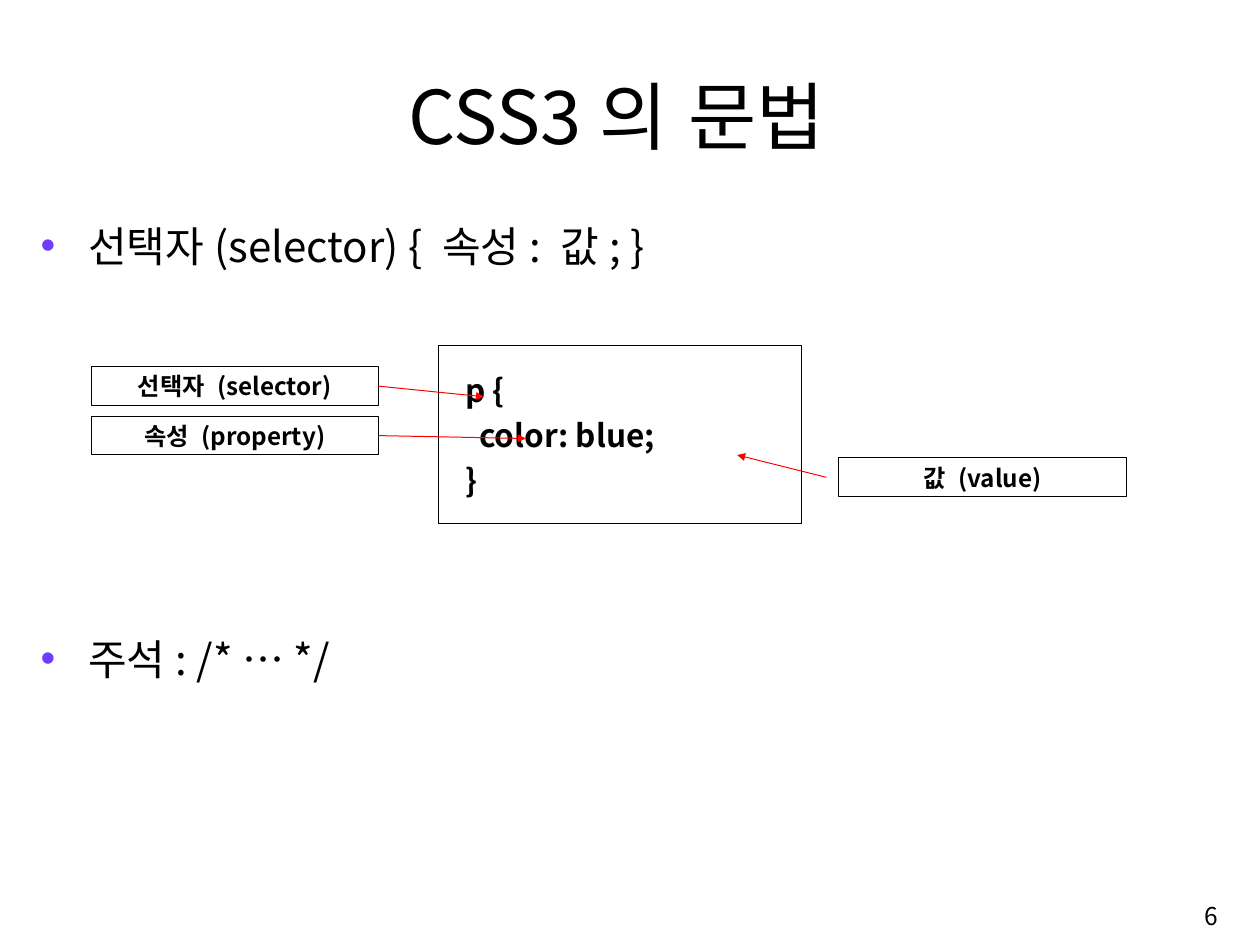
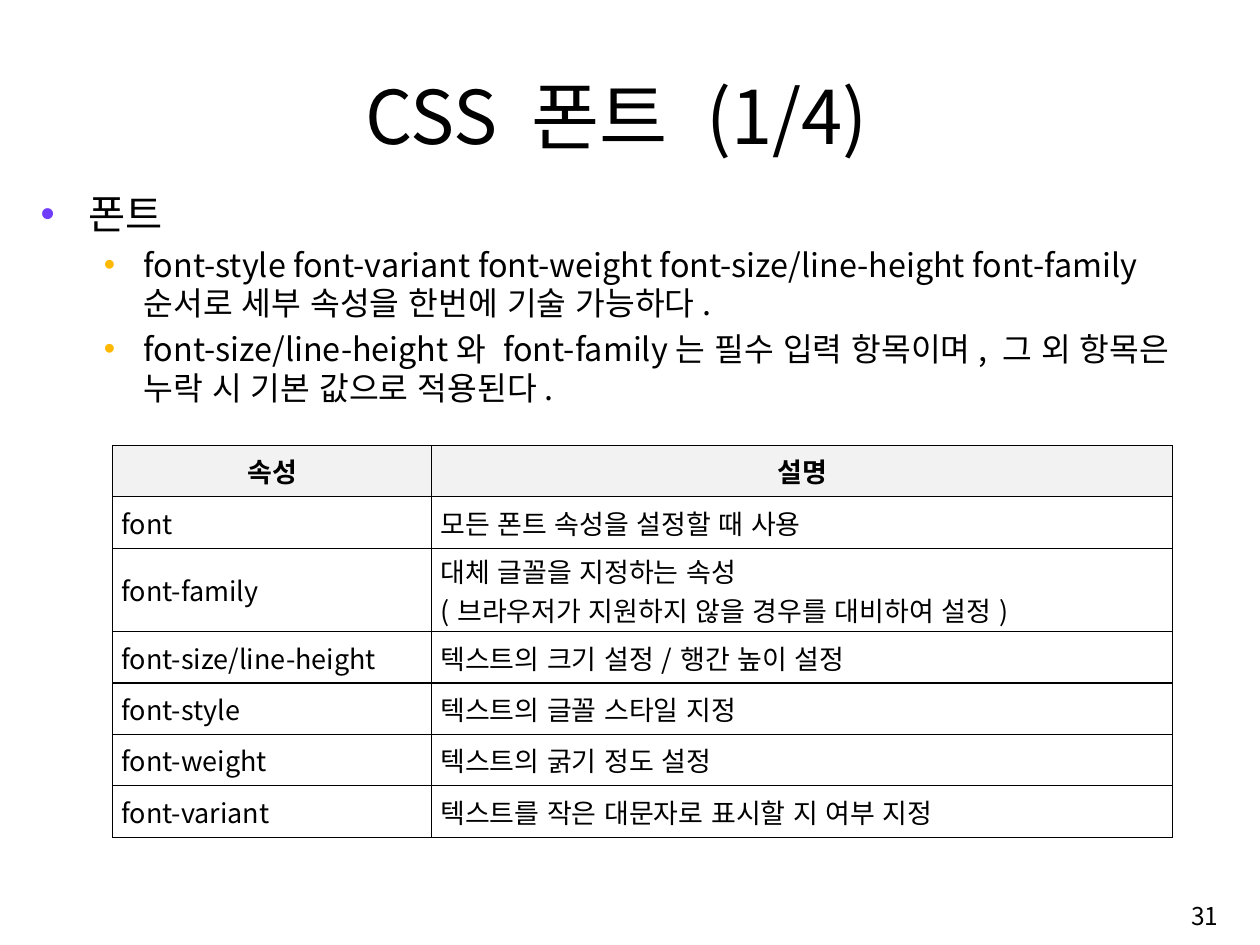
"""Build two slides on CSS3 syntax and CSS font properties."""
from lxml.etree import SubElement
from pptx import Presentation
from pptx.dml.color import RGBColor
from pptx.enum.lang import MSO_LANGUAGE_ID
from pptx.enum.shapes import MSO_CONNECTOR, MSO_SHAPE
from pptx.enum.text import MSO_ANCHOR, MSO_AUTO_SIZE, PP_ALIGN
from pptx.oxml.ns import qn
from pptx.util import Inches, Pt

FONT = "Noto Sans CJK KR"
BLACK, WHITE, RED, HEADER_GREY = "000000", "FFFFFF", "FF0000", "F2F2F2"
LEVELS = [(0.49, -0.49, "703DFF"), (1.06, -0.41, "FFB800")]


def colour(code):
    return RGBColor.from_string(code)


def style(paragraph, size, align=PP_ALIGN.LEFT, bold=False, before=0):
    paragraph.alignment = align
    paragraph.space_before = Pt(before)
    for run in paragraph.runs:
        run.font.size = Pt(size)
        run.font.bold = bold
        run.font.language_id = MSO_LANGUAGE_ID.KOREAN
        run.font.color.rgb = colour(BLACK)
        run.font.name = FONT
        SubElement(run.font._element, qn("a:ea"), typeface=FONT)


deck = Presentation()
deck.slide_width = Inches(12.99)
deck.slide_height = Inches(9.74)

pages = [
    ("CSS3의 문법", "6", 2.22, [
        (0, "선택자(selector) { 속성: 값; }", 31.2, 3),
        (0, "주석: /* … */", 31.2, 269),
    ]),
    ("CSS 폰트 (1/4)", "31", 1.9, [
        (0, "폰트", 30, 3),
        (1, "font-style font-variant font-weight font-size/line-height font-family "
            "순서로 세부 속성을 한번에 기술 가능하다.", 24, 5.2),
        (1, "font-size/line-height와 font-family는 필수 입력 항목이며, "
            "그 외 항목은 누락 시 기본 값으로 적용된다.", 24, 5.2),
    ]),
]

slides = []
for heading, number, body_top, bullets in pages:
    slide = deck.slides.add_slide(deck.slide_layouts[1])
    slides.append(slide)

    title = slide.shapes.title
    title.left, title.top = Inches(1.05), Inches(0.64)
    title.width, title.height = Inches(10.61), Inches(1.08)
    title.text_frame.text = heading
    title.text_frame.auto_size = MSO_AUTO_SIZE.NONE
    title.text_frame.vertical_anchor = MSO_ANCHOR.MIDDLE
    style(title.text_frame.paragraphs[0], 55, PP_ALIGN.CENTER)

    body = slide.placeholders[1]
    body.left, body.top = Inches(0.32), Inches(body_top)
    body.width, body.height = Inches(12.32), Inches(8.96 - body_top)
    body.text_frame.text = "\n".join(text for _, text, _, _ in bullets)
    body.text_frame.auto_size = MSO_AUTO_SIZE.NONE
    for paragraph, (level, _, size, before) in zip(body.text_frame.paragraphs, bullets):
        paragraph.level = level
        style(paragraph, size, before=before)
        margin, indent, bullet_colour = LEVELS[level]
        properties = paragraph._p.get_or_add_pPr()
        properties.set("marL", str(Inches(margin)))
        properties.set("indent", str(Inches(indent)))
        SubElement(SubElement(properties, qn("a:buClr")), qn("a:srgbClr"), val=bullet_colour)
        SubElement(properties, qn("a:buChar"), char="•")

    page_number = slide.shapes.add_textbox(
        Inches(9.98), Inches(9.14), Inches(2.68), Inches(0.6)).text_frame
    page_number.word_wrap = True
    page_number.vertical_anchor = MSO_ANCHOR.MIDDLE
    page_number.text = number
    style(page_number.paragraphs[0], 18.2, PP_ALIGN.RIGHT)

syntax_slide, font_slide = slides

boxes = [
    (4.52, 3.56, 3.74, 1.84, "p {\ncolor: blue;\n}", 23.4, PP_ALIGN.LEFT, 5.2, 0.13),
    (0.94, 3.78, 2.96, 0.4, "선택자 (selector)", 18, PP_ALIGN.CENTER, 0, 0.1),
    (0.94, 4.29, 2.96, 0.4, "속성 (property)", 18, PP_ALIGN.CENTER, 0, 0.1),
    (8.65, 4.72, 2.96, 0.4, "값 (value)", 18, PP_ALIGN.CENTER, 0, 0.1),
]
for left, top, width, height, text, size, align, before, inset in boxes:
    box = syntax_slide.shapes.add_shape(
        MSO_SHAPE.RECTANGLE, Inches(left), Inches(top), Inches(width), Inches(height))
    box.shadow.inherit = False
    box.fill.background()
    box.line.color.rgb = colour(BLACK)
    box.line.width = Pt(0.75)
    frame = box.text_frame
    frame.word_wrap = True
    frame.vertical_anchor = MSO_ANCHOR.MIDDLE
    frame.margin_left = frame.margin_right = Inches(inset)
    frame.text = text
    for paragraph in frame.paragraphs:
        style(paragraph, size, align, True, before)
        if align == PP_ALIGN.LEFT:
            code_indent = 0.29 if paragraph.text.startswith("color") else 0.15
            paragraph._p.get_or_add_pPr().set("marL", str(Inches(code_indent)))

arrows = [(3.9, 3.98, 4.99, 4.09), (3.9, 4.49, 5.42, 4.52), (8.52, 4.92, 7.6, 4.69)]
for ends in arrows:
    arrow = syntax_slide.shapes.add_connector(
        MSO_CONNECTOR.STRAIGHT, *[Inches(end) for end in ends])
    arrow.line.color.rgb = colour(RED)
    arrow.line.width = Pt(0.75)
    SubElement(arrow.line._get_or_add_ln(), qn("a:tailEnd"), type="triangle")
    SubElement(arrow._element.spPr, qn("a:effectLst"))

font_rows = [
    ("속성", "설명"),
    ("font", "모든 폰트 속성을 설정할 때 사용"),
    ("font-family", "대체 글꼴을 지정하는 속성\n(브라우저가 지원하지 않을 경우를 대비하여 설정)"),
    ("font-size/line-height", "텍스트의 크기 설정/행간 높이 설정"),
    ("font-style", "텍스트의 글꼴 스타일 지정"),
    ("font-weight", "텍스트의 굵기 정도 설정"),
    ("font-variant", "텍스트를 작은 대문자로 표시할 지 여부 지정"),
]
font_table = font_slide.shapes.add_table(
    len(font_rows), 2, Inches(1.16), Inches(4.59), Inches(10.93), Inches(4.04)).table
font_table.first_row = False
font_table.horz_banding = False
for column, width in zip(font_table.columns, (3.29, 7.64)):
    column.width = Inches(width)
for row_index, texts in enumerate(font_rows):
    is_header = row_index == 0
    font_table.rows[row_index].height = Inches(0.86 if "\n" in texts[1] else 0.53)
    for column_index, text in enumerate(texts):
        cell = font_table.cell(row_index, column_index)
        cell.vertical_anchor = MSO_ANCHOR.MIDDLE
        cell.margin_left = cell.margin_right = Inches(0.09)
        cell.margin_top = cell.margin_bottom = Inches(0.03)
        cell.text_frame.text = text
        for paragraph in cell.text_frame.paragraphs:
            style(paragraph, 20, PP_ALIGN.CENTER if is_header else PP_ALIGN.JUSTIFY, is_header)
        for side in ("a:lnL", "a:lnR", "a:lnT", "a:lnB"):
            border = SubElement(cell._tc.get_or_add_tcPr(), qn(side), w=str(Pt(1)))
            SubElement(SubElement(border, qn("a:solidFill")), qn("a:srgbClr"), val=BLACK)
        cell.fill.solid()
        cell.fill.fore_color.rgb = colour(HEADER_GREY if is_header else WHITE)

deck.save("out.pptx")
